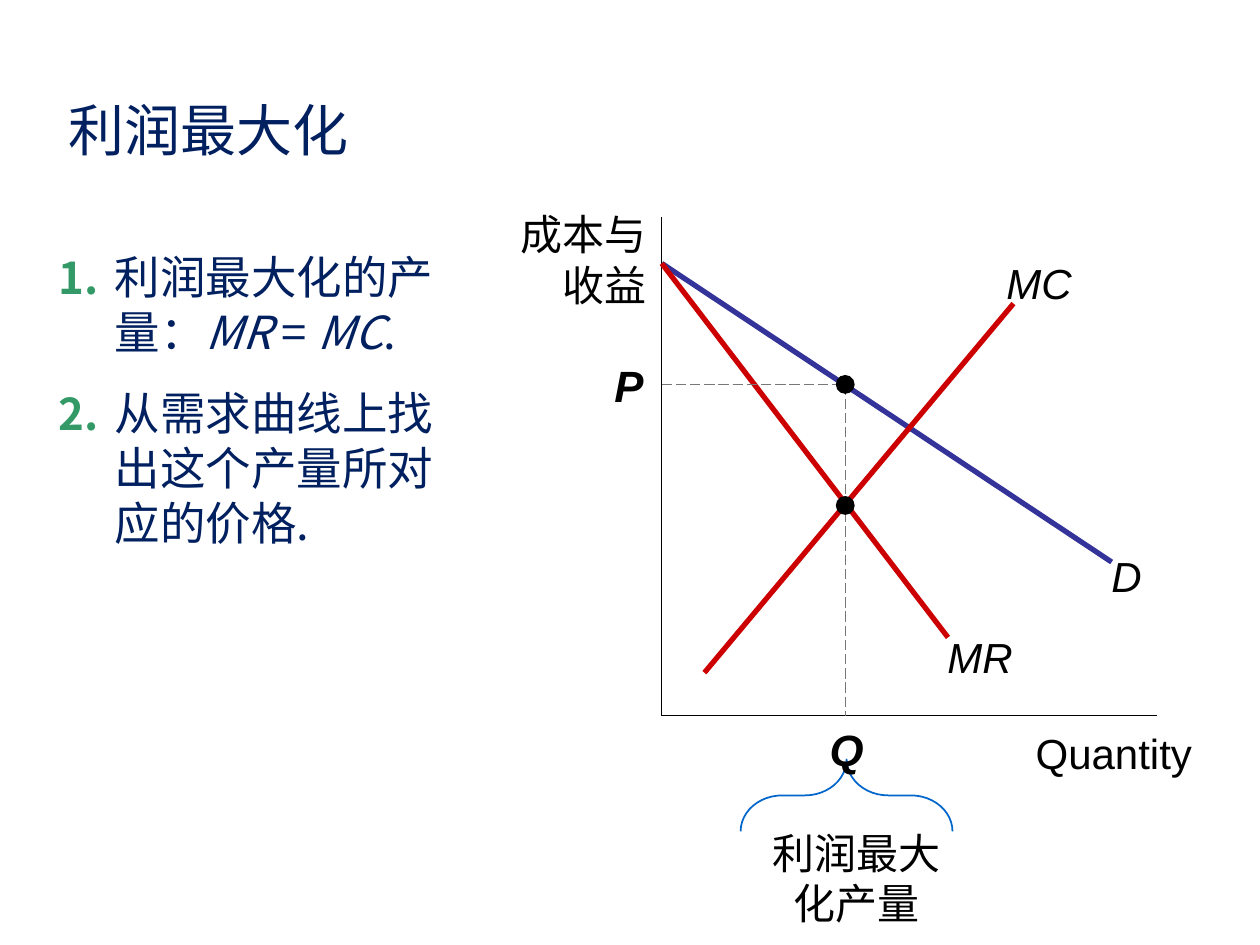
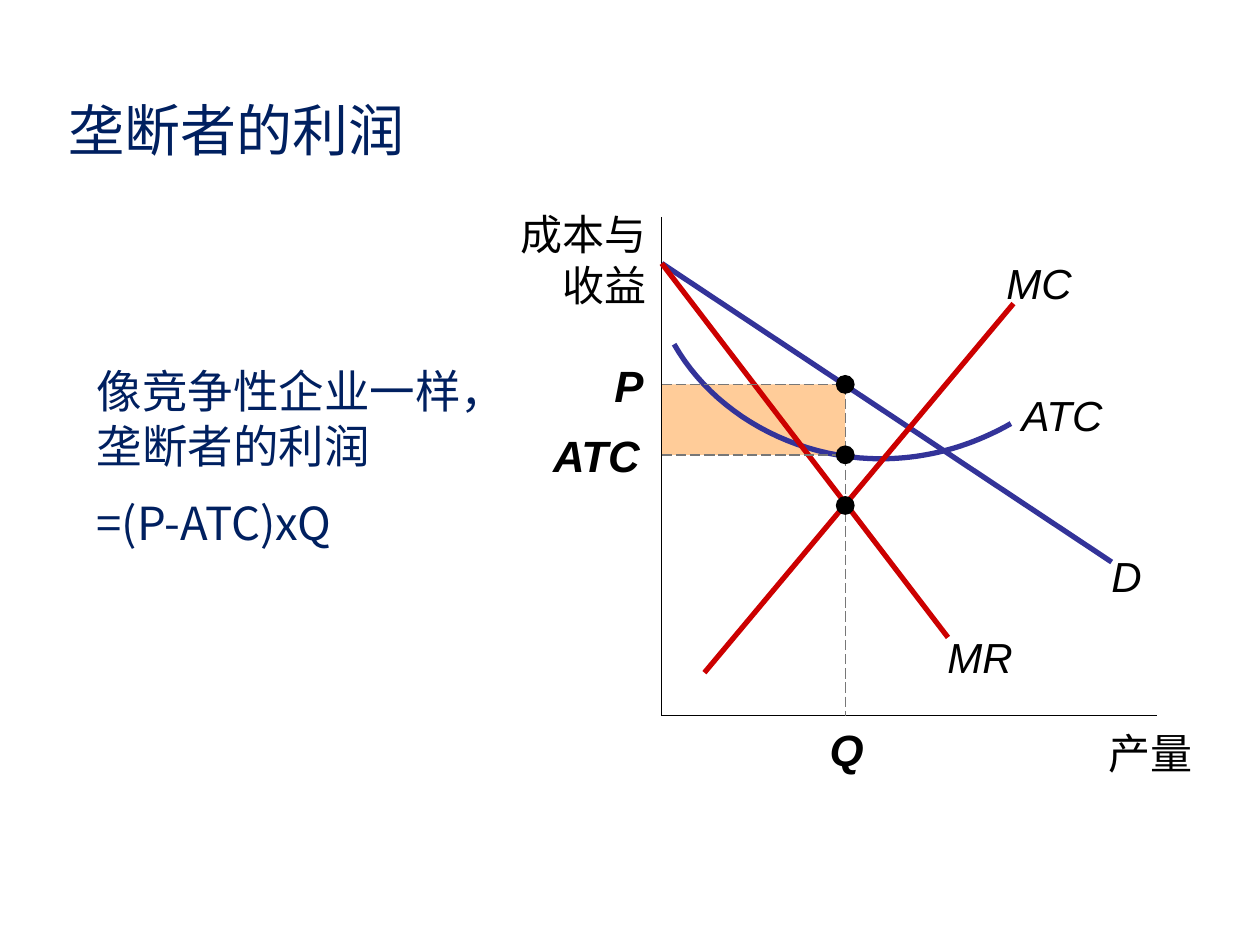
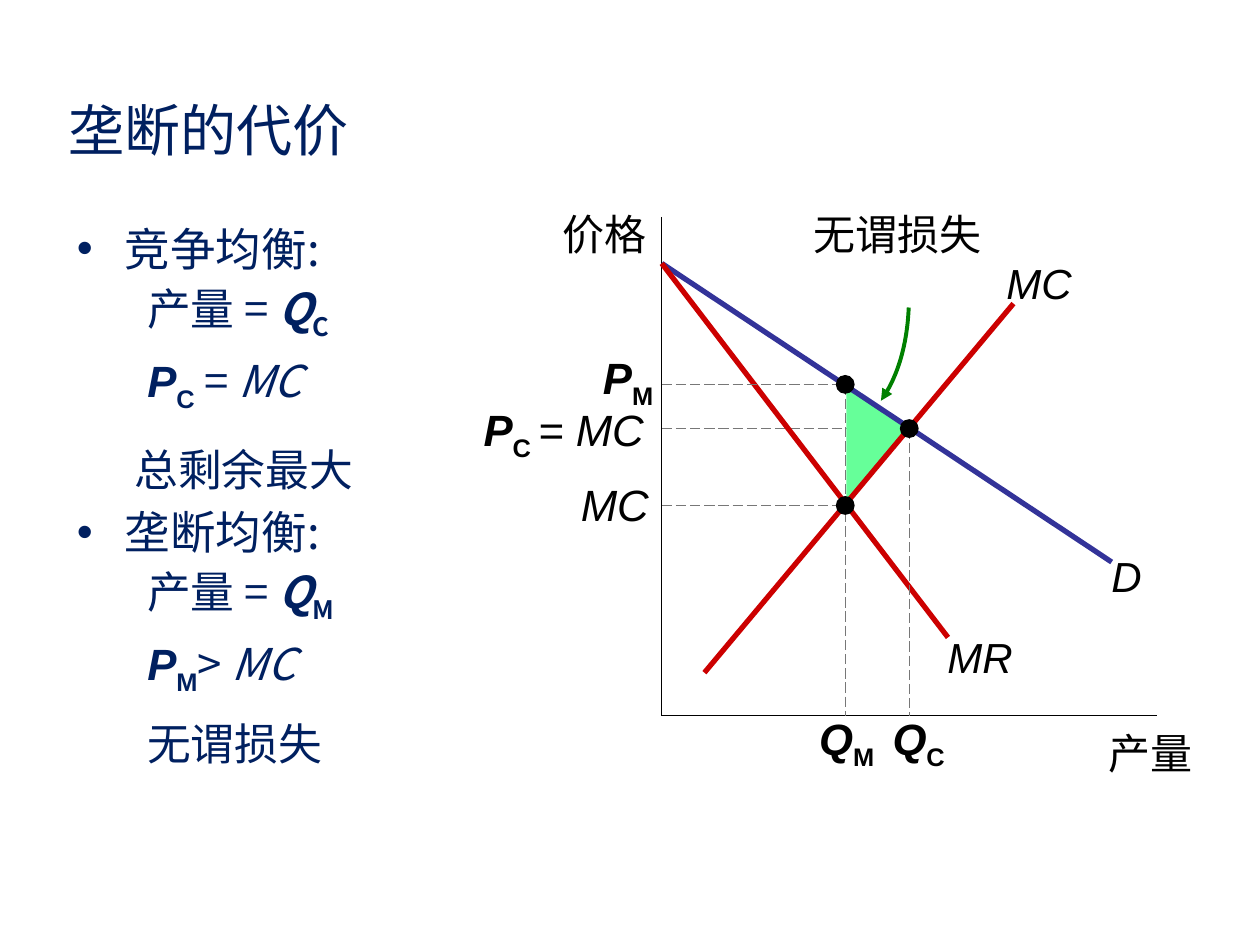
from lxml import etree
from pptx import Presentation
from pptx import util as u
from pptx.dml.color import RGBColor
from pptx.enum import dml, shapes, text
from pptx.oxml import ns

Cm, Pt = u.Cm, u.Pt
NAVY = RGBColor(0x00, 0x20, 0x60)
GREEN = RGBColor(0x33, 0x99, 0x66)
BLACK = RGBColor(0x00, 0x00, 0x00)
RED = RGBColor(0xCC, 0x00, 0x00)
BLUE = RGBColor(0x33, 0x33, 0x99)
GREY = RGBColor(0x77, 0x77, 0x77)
PEACH = RGBColor(0xFF, 0xCC, 0x99)
MINT = RGBColor(0x66, 0xFF, 0x99)
LEAF = RGBColor(0x00, 0x80, 0x00)
SKY = RGBColor(0x00, 0x66, 0xCC)
HAN, LATIN = "Noto Sans CJK SC", "Arial"
LEAD = 1.21  # line pitch per point of text size

LEFT, RIGHT, MID = text.PP_ALIGN.LEFT, text.PP_ALIGN.RIGHT, text.PP_ALIGN.CENTER
FORM = shapes.MSO_SHAPE

# Boxes on the slide, in cm: left, top, width, height
HEAD = (1.14, 1.78, 7.3, 1.63)
PLOT = (13.34, 4.37, 9.98, 10.06)

# Places in the plot, in cm from its top left corner
Q_MON, Q_COMP = 3.7, 4.99
P_MON, P_COMP, COST, MARG = 3.38, 4.27, 4.8, 5.82
START = (0, 0.94)
DEMAND = (START, (9.07, 6.96))
REVENUE = (START, (5.77, 8.48))
SUPPLY = ((0.86, 9.19), (7.09, 1.75))
ATC_ARC = [(7.04, 4.17), (6.25, 4.62), (5.36, 4.88), (4.42, 4.88),
           (2.67, 4.88), (1.04, 3.96), (0.25, 2.57)]
LOSS_ARC = [(4.98, 1.83), (4.95, 2.54), (4.78, 3.2), (4.42, 3.71)]


def add_xml(node, tag, **attrs):
    return etree.SubElement(node, ns.qn(tag), attrs)


# ---------- text ----------
def add_run(para, words, style="", size=24, color=BLACK, face=LATIN):
    """Style letters: b bold, i italic, s subscript."""
    run = para.add_run()
    run.text = words
    font = run.font
    font.size, font.name = Pt(size), face
    font.bold, font.italic = "b" in style, "i" in style
    font.color.rgb = color
    props = font._element
    add_xml(props, "a:ea", typeface=HAN)
    if "s" in style:
        props.set("baseline", "-25000")


def add_box(slide, box, pad=True, wrap=True):
    frame = slide.shapes.add_textbox(*(Cm(v) for v in box)).text_frame
    frame.word_wrap = wrap
    if not pad:
        frame.margin_left = frame.margin_right = 0
        frame.margin_top = frame.margin_bottom = 0
    return frame


def set_para(para, size, align=LEFT, before=0):
    para.alignment = align
    para.line_spacing = Pt(size * LEAD)
    para.space_before = Pt(before)


def set_indent(para, left, hang=0):
    props = para._p.get_or_add_pPr()
    props.set("marL", str(Cm(left)))
    props.set("indent", str(-Cm(hang)))
    return props


def add_title(slide, words):
    frame = add_box(slide, HEAD, wrap=False)
    set_para(frame.paragraphs[0], 32)
    add_run(frame.paragraphs[0], words, size=32, color=NAVY, face=HAN)


def add_rows(slide, box, rows):
    """Body text; each row is (space before, left, hang, bullet, runs)."""
    frame = add_box(slide, box)
    for num, (before, left, hang, mark, runs) in enumerate(rows):
        para = frame.add_paragraph() if num else frame.paragraphs[0]
        set_para(para, 26, before=before)
        props = set_indent(para, left, hang)
        if mark:
            add_xml(props, "a:buFont", typeface=LATIN)
            add_xml(props, "a:buChar", char=mark)
        for words, style, *look in runs:
            size, color, face = look or (26, NAVY, HAN)
            add_run(para, words, style, size, color, face)


# ---------- plot parts ----------
class Plot:
    def __init__(self, slide, box):
        self.slide = slide
        self.left, self.top, self.wide, self.high = box

    def place(self, x, y):
        return Cm(self.left + x), Cm(self.top + y)

    def line(self, start, end, color, width, dash=False):
        link = self.slide.shapes.add_connector(
            shapes.MSO_CONNECTOR.STRAIGHT, *self.place(*start), *self.place(*end))
        link.line.color.rgb, link.line.width = color, Pt(width)
        if dash:
            link.line.dash_style = dml.MSO_LINE.LONG_DASH
        add_xml(link._element.spPr, "a:effectLst")

    def guide(self, start, end):
        self.line(start, end, GREY, 0.75, dash=True)

    def shape(self, form, box, fill=None):
        part = self.slide.shapes.add_shape(
            form, *self.place(*box[:2]), *(Cm(v) for v in box[2:]))
        part.shadow.inherit = False
        part.line.fill.background()
        if fill is None:
            part.fill.background()
        else:
            part.fill.solid()
            part.fill.fore_color.rgb = fill
        return part

    def dot(self, x, y, size=0.38):
        self.shape(FORM.OVAL, (x - size / 2, y - size / 2, size, size), BLACK)

    def arc(self, knots, color, width, steps=24):
        """Draw chained cubic curves as one open outline."""
        dots = [self.place(*knots[0])]
        for first in range(0, len(knots) - 1, 3):
            a, b, c, d = knots[first:first + 4]
            for step in range(1, steps + 1):
                t = step / steps
                s = 1 - t
                dots.append(self.place(*(
                    s**3 * p + 3 * s * s * t * q + 3 * s * t * t * r + t**3 * v
                    for p, q, r, v in zip(a, b, c, d))))
        pen = self.slide.shapes.build_freeform(*dots[0])
        pen.add_line_segments(dots[1:], close=False)
        curve = pen.convert_to_shape()
        curve.shadow.inherit = False
        curve.fill.background()
        curve.line.color.rgb, curve.line.width = color, Pt(width)
        return curve

    def label(self, box, runs, size=24, align=MID, pad=True, wrap=True):
        x, y, wide, high = box
        frame = add_box(self.slide, (self.left + x, self.top + y, wide, high), pad, wrap)
        set_para(frame.paragraphs[0], size, align)
        for words, style in runs:
            add_run(frame.paragraphs[0], words, style, size)

    def name(self, x, y, wide, words):
        self.label((x, y, wide, 1.02), [(words, "i")], pad=False)

    def tick(self, x, y, wide, runs, **look):
        self.label((x, y, wide, 1.32), runs, size=25, **look)

    def axes(self, up, across):
        low = (0, self.high)
        self.line((0, 0), low, BLACK, 0.75)
        self.line(low, (self.wide, self.high), BLACK, 0.75)
        self.label((-3.76, -0.3, 3.71, 2.31), [(up, "")], align=RIGHT)
        self.label((7.24, 10.29, 3.45, 1.02), [(across, "")], align=RIGHT, pad=False)

    def curves(self):
        self.line(*DEMAND, BLUE, 3)
        self.name(8.76, 6.73, 1.22, "D")
        self.line(*REVENUE, RED, 3)
        self.name(5.59, 8.36, 1.65, "MR")
        self.line(*SUPPLY, RED, 3)
        self.name(6.78, 0.81, 1.65, "MC")

    def choice(self):
        """Guides and dots of the monopoly price and output."""
        self.guide((0, P_MON), (Q_MON, P_MON))
        self.guide((Q_MON, P_MON), (Q_MON, self.high))
        self.dot(Q_MON, P_MON)
        self.dot(Q_MON, MARG)

    def marks(self):
        self.tick(-1.22, 2.72, 1.12, [("P", "bi")])
        self.tick(3, 10.06, 1.45, [("Q", "bi")])


# ---------- plots of the three slides ----------
def draw_max(slide, box):
    plot = Plot(slide, box)
    plot.axes("成本与收益", "Quantity")
    plot.curves()
    plot.label((1.57, 12.17, 4.72, 2.31), [("利润最大化产量", "")])
    brace = plot.shape(FORM.LEFT_BRACE, (3, 9.53, 1.45, 4.27))
    brace.rotation = 90
    brace.adjustments[0] = 0.58
    brace.line.color.rgb, brace.line.width = SKY, Pt(1)
    plot.choice()
    plot.marks()


def draw_profit(slide, box):
    plot = Plot(slide, box)
    plot.shape(FORM.RECTANGLE, (0, P_MON, Q_MON, COST - P_MON), PEACH)
    plot.axes("成本与收益", "产量")
    plot.arc(ATC_ARC, BLUE, 3)
    plot.name(7.04, 3.48, 2.06, "ATC")
    plot.curves()
    plot.choice()
    plot.marks()
    plot.guide((0, COST), (Q_MON, COST))
    plot.dot(Q_MON, COST)
    plot.tick(-2.44, 4.14, 2.36, [("ATC", "bi")], align=LEFT)


def draw_loss(slide, box):
    plot = Plot(slide, box)
    plot.guide((0, P_COMP), (Q_COMP, P_COMP))
    plot.guide((0, MARG), (Q_MON, MARG))
    # Deadweight loss
    loss = plot.shape(FORM.ISOSCELES_TRIANGLE, (3.15, 3.99, 2.36, 1.22), MINT)
    loss.rotation = 90
    loss.adjustments[0] = 0.36
    plot.label((2.21, -0.3, 5.08, 1.27), [("无谓损失", "")])
    arrow = plot.arc(LOSS_ARC, LEAF, 2.25)
    add_xml(arrow.line._get_or_add_ln(), "a:tailEnd", type="triangle")
    # Axes, curves and both outcomes
    plot.axes("价格", "产量")
    plot.curves()
    plot.choice()
    plot.guide((Q_COMP, P_COMP), (Q_COMP, plot.high))
    plot.dot(Q_COMP, P_COMP)
    # Values on the axes
    plot.tick(-1.52, 2.72, 1.6, [("P", "bi"), ("M", "bs")], align=RIGHT, wrap=False)
    plot.tick(-3.84, 3.76, 3.94, [("P", "bi"), ("C ", "bs"), ("= MC", "i")],
              align=LEFT, wrap=False)
    plot.tick(-1.88, 5.13, 1.88, [("MC", "i")], align=LEFT)
    for x, sub in ((3.05, "M"), (4.5, "C")):
        plot.tick(x, 10.11, 1.36, [("Q", "bi"), (sub, "bs")], pad=False)


# ---------- body rows ----------
def step(num, before, *runs):
    lead = (f"{num}.\t", "b", 25, GREEN, HAN)
    return before, 1.12, 1.12, None, [lead, *runs]


def bullet(before, words):
    return before, 0.97, 0.97, "•", [(words, "")]


def sub_row(before, *runs, left=1.42):
    return before, left, 0, None, [
        (words, style, 25, NAVY, *(face or [HAN])) for words, style, *face in runs]


def case(before, title, sub, sign):
    """Outcome heading with its output and price rows."""
    return [
        bullet(before, title),
        sub_row(6, ("产量 = ", ""), ("Q", "bi"), (sub, "bs")),
        sub_row(10, ("P", "bi", LATIN), (sub, "bs", LATIN), (sign, ""), ("MC", "i")),
    ]


MAX_ROWS = [
    step(1, 0, ("利润最大化的产量：", ""), ("MR", "i"), (" = ", ""), ("MC", "i"), (".", "")),
    step(2, 15, ("从需求曲线上找出这个产量所对应的价格.", "")),
]
PROFIT_ROWS = [
    (0, 0, 0, None, [("像竞争性企业一样，垄断者的利润", "")]),
    (12.5, 0, 0, None, [("=(P-ATC)xQ", "")]),
]
LOSS_ROWS = [
    *case(0, "竞争均衡:", "C", " = "),
    sub_row(15, ("总剩余最大", ""), left=1.16),
    *case(5, "垄断均衡:", "M", "> "),
    sub_row(10, ("无谓损失", "")),
]
PAGES = [
    ("利润最大化", (0.94, 4.88, 8.56, 12.14), MAX_ROWS, draw_max),
    ("垄断者的利润", (1.7, 7.19, 8.81, 5.13), PROFIT_ROWS, draw_profit),
    ("垄断的代价", (1.3, 4.32, 8, 11), LOSS_ROWS, draw_loss),
]


def main():
    deck = Presentation()
    deck.slide_width, deck.slide_height = Cm(25.4), Cm(19.05)
    for title, box, rows, draw in PAGES:
        slide = deck.slides.add_slide(deck.slide_layouts[6])
        add_title(slide, title)
        add_rows(slide, box, rows)
        draw(slide, PLOT)
    deck.save("out.pptx")


if __name__ == "__main__":
    main()
